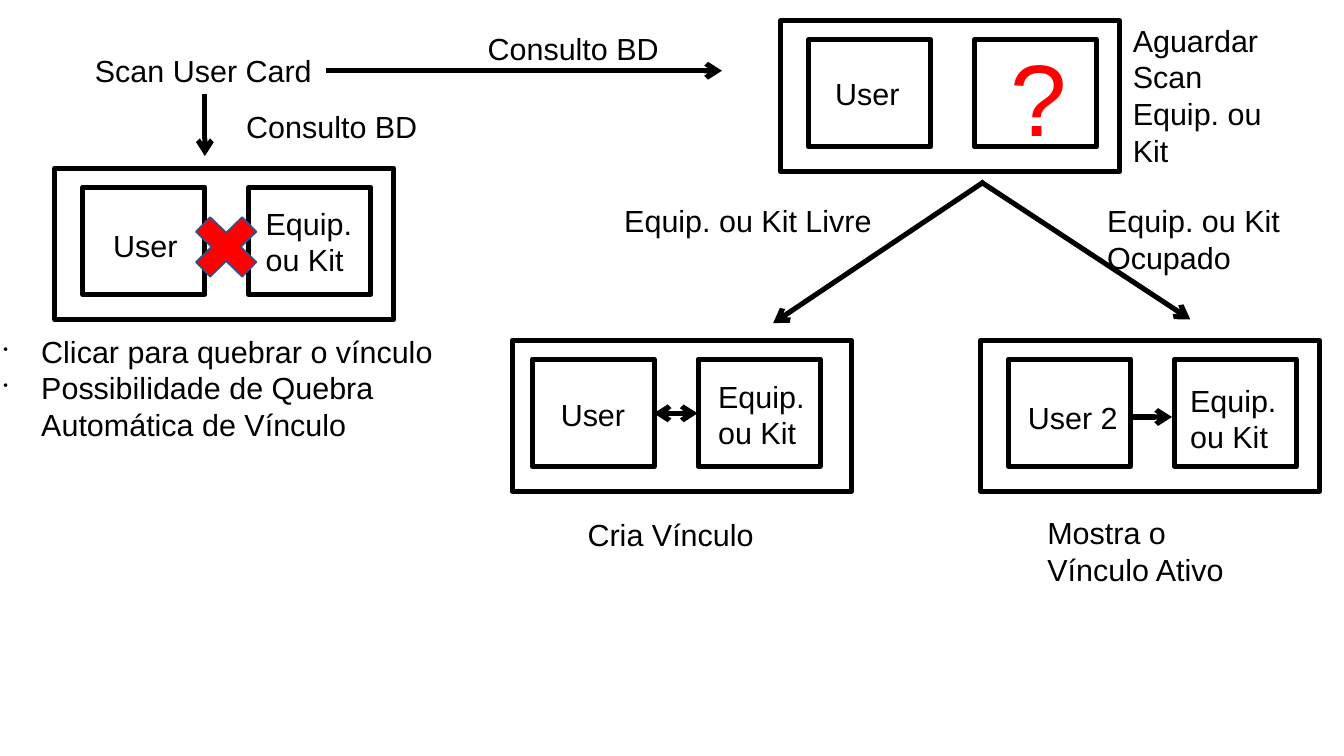
import pptx
import pptx.util
import pptx.dml.color
import pptx.enum.shapes
import pptx.enum.text
import pptx.oxml.ns
import lxml.etree


class Board:
    """Flow diagram drawn on a grid of tenth-inch columns and rows."""

    hues = {"ink": "000000", "alert": "FF0000", "edge": "2F528F", "page": "FFFFFF"}
    font = "Arial"
    size = 18
    line = 3
    cell = 0.1

    def __init__(self, cols, rows):
        self.deck = pptx.Presentation()
        self.deck.slide_width, self.deck.slide_height = self.units(cols, rows)
        self.slide = self.deck.slides.add_slide(self.deck.slide_layouts[6])
        self.slide.background.fill.solid()
        self.slide.background.fill.fore_color.rgb = self.hue("page")

    def units(self, *cells):
        return [pptx.util.Inches(n * self.cell) for n in cells]

    def hue(self, name):
        return pptx.dml.color.RGBColor.from_string(self.hues[name])

    def child(self, node, tag, **attrs):
        return lxml.etree.SubElement(node, pptx.oxml.ns.qn(tag), attrs)

    def shape(self, kind, *place):
        shape = self.slide.shapes.add_shape(kind, *self.units(*place))
        shape.shadow.inherit = False
        return shape

    def box(self, *place):
        box = self.shape(pptx.enum.shapes.MSO_SHAPE.RECTANGLE, *place)
        box.fill.background()
        box.line.color.rgb = self.hue("ink")
        box.line.width = pptx.util.Pt(self.line)

    def panel(self, left, top, inset=2.3):
        self.box(left, top, 27.8, 12.4)
        for step in (0, 13.6):
            self.box(left + inset + step, top + 1.55, 10, 8.8)

    def cross(self, *place):
        cross = self.shape(pptx.enum.shapes.MSO_SHAPE.MATH_MULTIPLY, *place)
        cross.fill.solid()
        cross.fill.fore_color.rgb = self.hue("alert")
        cross.line.color.rgb = self.hue("edge")
        cross.line.width = pptx.util.Pt(1)

    def arrow(self, *ends, both=False):
        kind = pptx.enum.shapes.MSO_CONNECTOR.STRAIGHT
        arrow = self.slide.shapes.add_connector(kind, *self.units(*ends))
        arrow.line.color.rgb = self.hue("ink")
        arrow.line.width = pptx.util.Pt(self.line)
        stroke = arrow.line._get_or_add_ln()
        if both:
            self.child(stroke, "a:headEnd", type="arrow")
        self.child(stroke, "a:tailEnd", type="arrow")
        self.child(arrow._element.spPr, "a:effectLst")

    def text(self, words, left, top, wide, high=3.9, wrap=False,
             size=None, hue="ink", list=False):
        area = self.slide.shapes.add_textbox(*self.units(left, top, wide, high))
        frame = area.text_frame
        frame.word_wrap = wrap
        frame.auto_size = pptx.enum.text.MSO_AUTO_SIZE.SHAPE_TO_FIT_TEXT
        frame.text = words
        for para in frame.paragraphs:
            para.font.name = self.font
            para.font.size = pptx.util.Pt(size or self.size)
            para.font.color.rgb = self.hue(hue)
            if list:
                self.bullet(para)

    def bullet(self, para):
        props = para._p.get_or_add_pPr()
        indent = pptx.util.Inches(0.31)
        props.set("marL", str(indent))
        props.set("indent", str(-indent))
        mark = lxml.etree.Element(pptx.oxml.ns.qn("a:buSzPct"), val="45000")
        props.insert(0, mark)
        sign = lxml.etree.Element(pptx.oxml.ns.qn("a:buChar"), char="•")
        props.insert(1, sign)


def main():
    board = Board(110.2, 62)

    for left, top, inset in ((4.5, 13.8, 2.3), (64, 1.7, 2.3),
                             (42, 27.9, 1.65), (80.4, 27.9, 2.3)):
        board.panel(left, top, inset)

    for ends in ((16.8, 7.7, 16.8, 12.8), (26.7, 5.8, 59.2, 5.8),
                 (80.7, 14.9, 63.4, 26.5), (80.4, 14.9, 97.6, 26.2),
                 (92.5, 34.2, 96.1, 34.2)):
        board.arrow(*ends)
    board.arrow(53.6, 33.9, 57.2, 33.9, both=True)

    board.text("Scan User Card", 6.8, 3.8, 19.9)
    for left, top in ((19.2, 8.4), (39, 2)):
        board.text("Consulto BD", left, top, 16.2)
    for left, top in ((8.3, 18.1), (67.5, 5.7), (45, 32)):
        board.text("User", left, top, 7.3)
    board.text("User 2", 83.3, 32.2, 9.4)
    board.cross(14.9, 16.7, 7.3, 7.1)
    for left, top in ((20.8, 16.3), (57.9, 30.5), (96.6, 30.8)):
        board.text("Equip. ou Kit", left, top, 10, 6.8, wrap=True)

    board.text("?", 81.9, 2.4, 10, 10.7, wrap=True, size=60, hue="alert")
    board.text("Aguardar Scan Equip. ou Kit", 91.9, 1.3, 14.3, 12.6, wrap=True)
    board.text("Equip. ou Kit Livre", 50.2, 16.1, 22.5)
    board.text("Equip. ou Kit Ocupado", 89.8, 16.1, 19.4, 6.8, wrap=True)
    board.text("Cria Vínculo", 47.2, 41.8, 15.7)
    board.text("Mostra o Vínculo Ativo", 84.9, 41.7, 19.4, 6.8, wrap=True)
    board.text("Clicar para quebrar o vínculo\n"
               "Possibilidade de Quebra Automática de Vínculo",
               -0.7, 26.8, 38.1, 9.7, wrap=True, list=True)

    board.deck.save("out.pptx")


if __name__ == "__main__":
    main()
